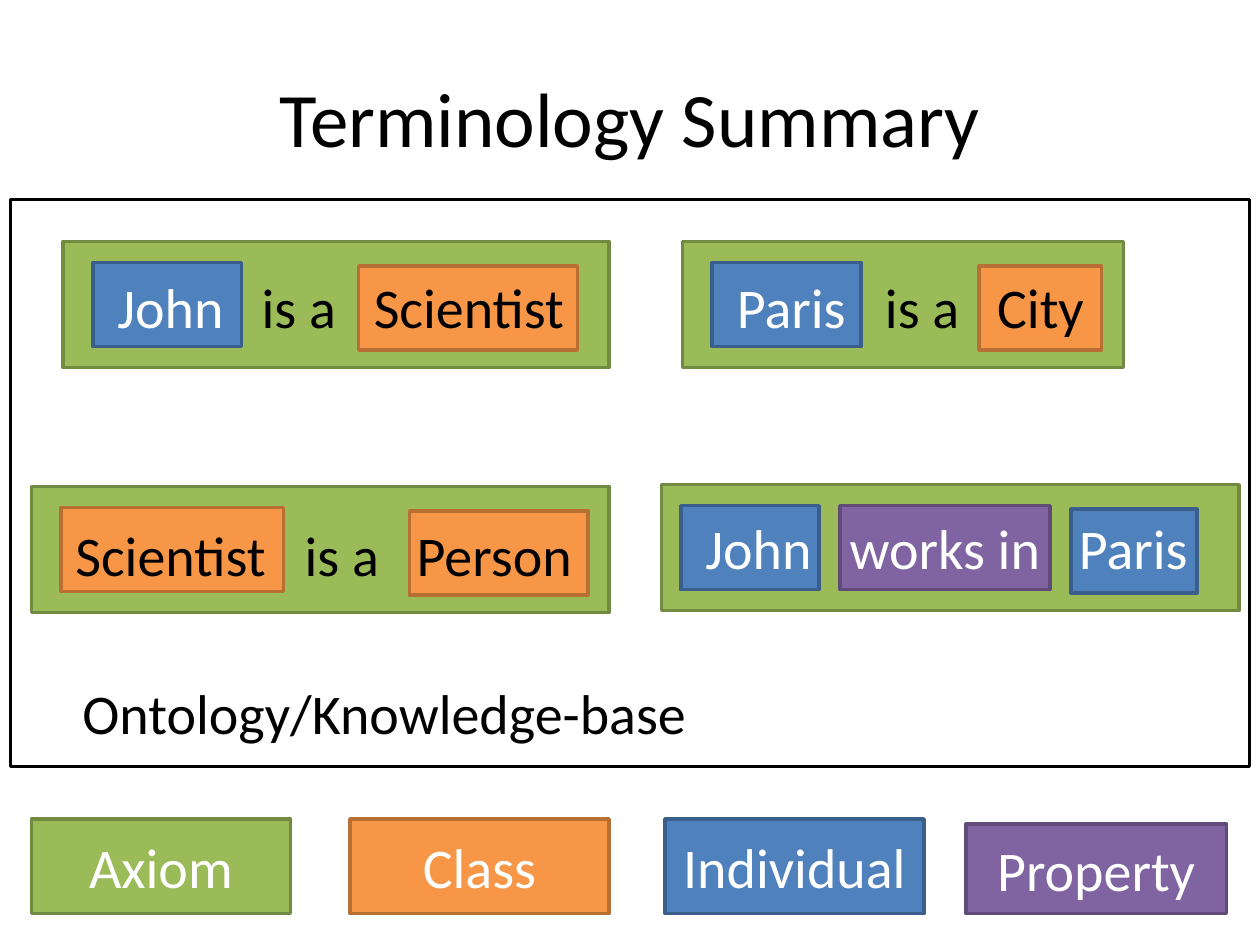
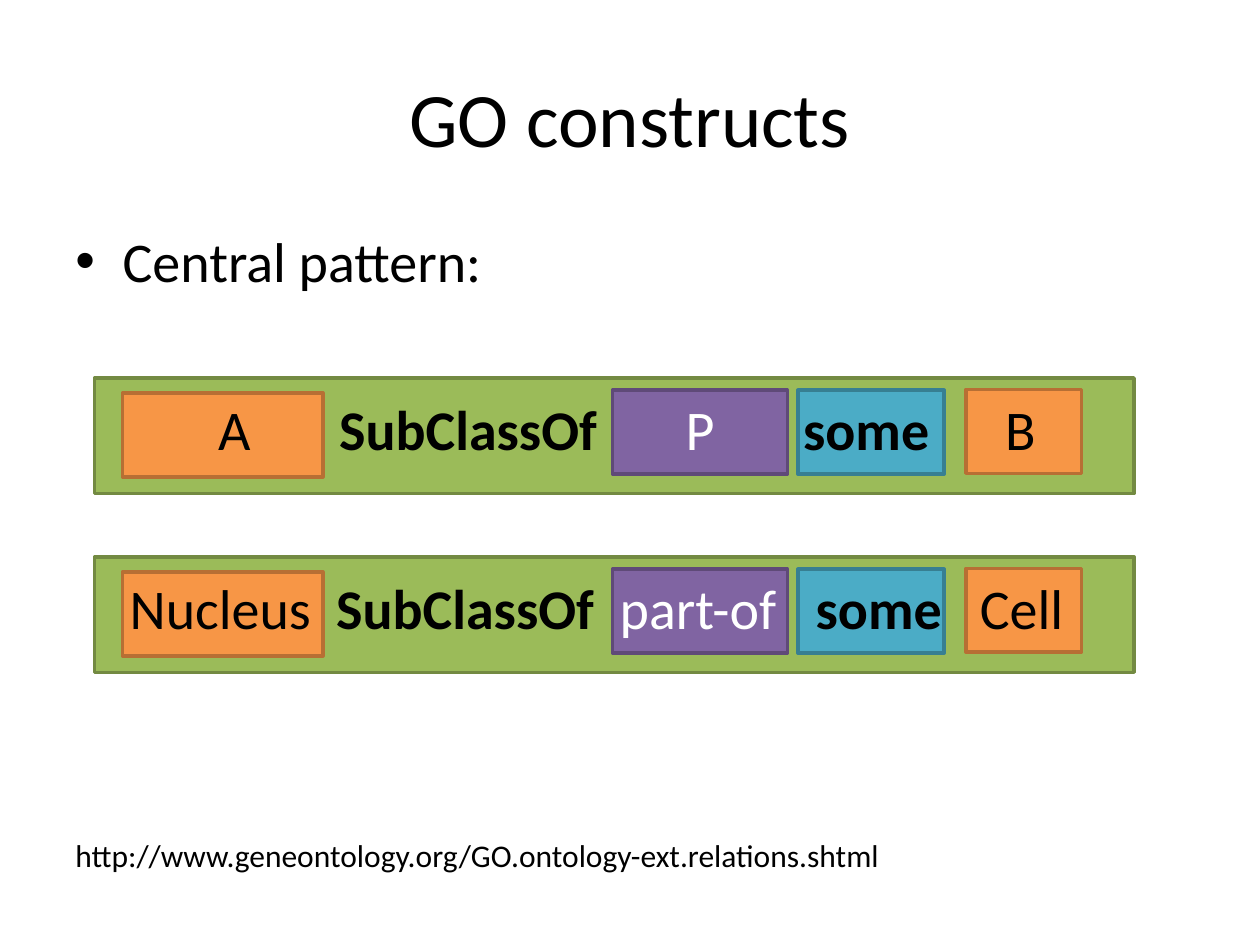
"""Build two slides that explain ontology axioms with colour-coded boxes."""
from lxml import etree
from pptx import Presentation
from pptx.dml.color import RGBColor
from pptx.enum.shapes import MSO_SHAPE
from pptx.enum.text import MSO_ANCHOR, PP_ALIGN
from pptx.oxml.ns import qn
from pptx.util import Pt

RECTANGLE = MSO_SHAPE.RECTANGLE
MIDDLE, TOP = MSO_ANCHOR.MIDDLE, MSO_ANCHOR.TOP
CENTER, LEFT = PP_ALIGN.CENTER, PP_ALIGN.LEFT

FONT = "Calibri"
TITLE_SIZE, TEXT_SIZE, LINK_SIZE = 44, 32, 18
PART_HEIGHT = 48
COLORS = {
    "black": "000000", "white": "FFFFFF",
    "axiom": "9BBB59", "axiom_edge": "738A42",
    "class": "F79646", "class_edge": "B76F34",
    "individual": "4F81BD", "individual_edge": "3A5F8C",
    "property": "8064A2", "property_edge": "5F4A78",
    "quantifier": "4BACC6", "quantifier_edge": "377F92",
}


class Slides:
    """Hold the shared style and the current slide."""

    def __init__(self):
        self.deck = Presentation()
        self.deck.slide_width, self.deck.slide_height = Pt(720), Pt(540)
        self.page = None

    def start(self, title):
        """Add a slide with its title."""
        self.page = self.deck.slides.add_slide(self.deck.slide_layouts[6])
        self.text((36, 21.6, 648, 90), title, TITLE_SIZE, align=CENTER, anchor=MIDDLE)

    def style(self, span, size, color, bold=False):
        """Set the font of one run."""
        span.font.name, span.font.size, span.font.bold = FONT, Pt(size), bold
        span.font.color.rgb = RGBColor.from_string(COLORS[color])

    def fill_text(self, box, text, size, color, align, anchor):
        """Put one styled paragraph in a shape or text box."""
        frame = box.text_frame
        frame.text = text
        frame.word_wrap, frame.vertical_anchor = True, anchor
        para = frame.paragraphs[0]
        para.alignment = align
        for span in para.runs:
            self.style(span, size, color)
        return para

    def text(self, place, text, size=TEXT_SIZE, align=LEFT, anchor=TOP):
        """Add a black text box."""
        box = self.page.shapes.add_textbox(*map(Pt, place))
        return self.fill_text(box, text, size, "black", align, anchor)

    def bullet(self, place, text):
        """Add a text box with one bulleted line."""
        properties = self.text(place, text)._p.get_or_add_pPr()
        properties.set("marL", str(Pt(27)))
        properties.set("indent", str(Pt(-27)))
        etree.SubElement(properties, qn("a:buFont"), typeface="Arial")
        etree.SubElement(properties, qn("a:buChar"), char="•")

    def rectangle(self, place, fill, edge, label=""):
        """Add a rectangle, with a white label if given."""
        box = self.page.shapes.add_shape(RECTANGLE, *map(Pt, place))
        box.shadow.inherit = False
        box.fill.solid()
        box.fill.fore_color.rgb = RGBColor.from_string(COLORS[fill])
        box.line.color.rgb = RGBColor.from_string(COLORS[edge])
        box.line.width = Pt(2)
        if label:
            self.fill_text(box, label, TEXT_SIZE, "white", CENTER, MIDDLE)

    def term(self, kind, place, label=""):
        """Add a rectangle in the colours of a kind of term."""
        self.rectangle(place, kind, f"{kind}_edge", label)

    def sentence(self, place, words):
        """Add words at tab stops, each as (text, tab, colour, bold)."""
        para = self.text(place, "")
        stops = etree.SubElement(para._p.get_or_add_pPr(), qn("a:tabLst"))
        for word, tab, color, bold in words:
            if tab:
                etree.SubElement(stops, qn("a:tab"), pos=str(Pt(tab)), algn="l")
            span = para.add_run()
            span.text = f"\t{word}" if tab else word
            self.style(span, TEXT_SIZE, color, bold)

    def axiom(self, frame, parts, place, words):
        """Add an axiom: its frame, its parts as (kind, left, top, width) and its words."""
        self.term("axiom", frame)
        for kind, left, top, width in parts:
            self.term(kind, (left, top, width, PART_HEIGHT))
        self.sentence(place, words)


def add_terminology(slides):
    """Build the slide of example axioms and their legend."""
    slides.start("Terminology Summary")
    slides.rectangle((6, 114, 708, 324), "white", "black")
    slides.axiom(
        (36, 138, 312, 72),
        [("individual", 53, 150, 85), ("class", 205, 152, 125)],
        (60, 152, 300, 46),
        [("John", 0, "white", False), ("is a", 82.4, "black", False),
         ("Scientist", 146.5, "black", False)])
    slides.axiom(
        (390, 138, 252, 72),
        [("individual", 407, 150, 85), ("class", 559.5, 152, 70)],
        (414, 152, 215.5, 46),
        [("Paris", 0, "white", False), ("is a", 84.6, "black", False),
         ("City", 148.7, "black", False)])
    slides.axiom(
        (18, 278, 330, 72),
        [("class", 35, 290, 127), ("class", 234, 292, 102)],
        (36, 294, 312, 46),
        [("Scientist", 0, "black", False), ("is a", 131, "black", False),
         ("Person", 195, "black", False)])
    slides.axiom(
        (378, 277, 330, 72),
        [("individual", 389, 289, 79), ("property", 480, 289, 120),
         ("individual", 612, 291, 72)],
        (396, 290, 300, 46),
        [("John", 0, "white", False), ("works in", 82.4, "white", False),
         ("Paris", 213.4, "white", False)])
    slides.text((40, 384, 481, 46), "Ontology/Knowledge-base")
    for kind, left in (("axiom", 18), ("class", 200), ("individual", 380)):
        slides.term(kind, (left, 468, 148, 54), kind.capitalize())
    slides.term("property", (552, 471, 149, 51), "Property")


def add_constructs(slides):
    """Build the slide of the central pattern and its example."""
    slides.start("GO constructs")
    slides.bullet((36, 126, 648, 66), "Central pattern:")
    patterns = [
        (216, ("A", "SubClassOf", "P", "some", "B"),
         (50.6, 119.7, 317.7, 384.8, 500.3)),
        (318.25, ("Nucleus", "SubClassOf", "part-of", "some", "Cell"),
         (0, 118, 280, 392, 485.8)),
    ]
    colors = ("black", "black", "white", "black", "black")
    bolds = (False, True, False, True, False)
    for top, words, tabs in patterns:
        parts = [("property", 350, top + 7, 100), ("quantifier", 456, top + 7, 83.5),
                 ("class", 552, top + 6.5, 66), ("class", 70, top + 8.5, 114.5)]
        slides.axiom((54, top, 594, 66), parts, (67, top + 6, 563, 52),
                     zip(words, tabs, colors, bolds))
    slides.text((36, 474, 630, 29),
                "http://www.geneontology.org/GO.ontology-ext.relations.shtml", LINK_SIZE)


def main():
    """Build and save the deck."""
    slides = Slides()
    add_terminology(slides)
    add_constructs(slides)
    slides.deck.save("out.pptx")


if __name__ == "__main__":
    main()
